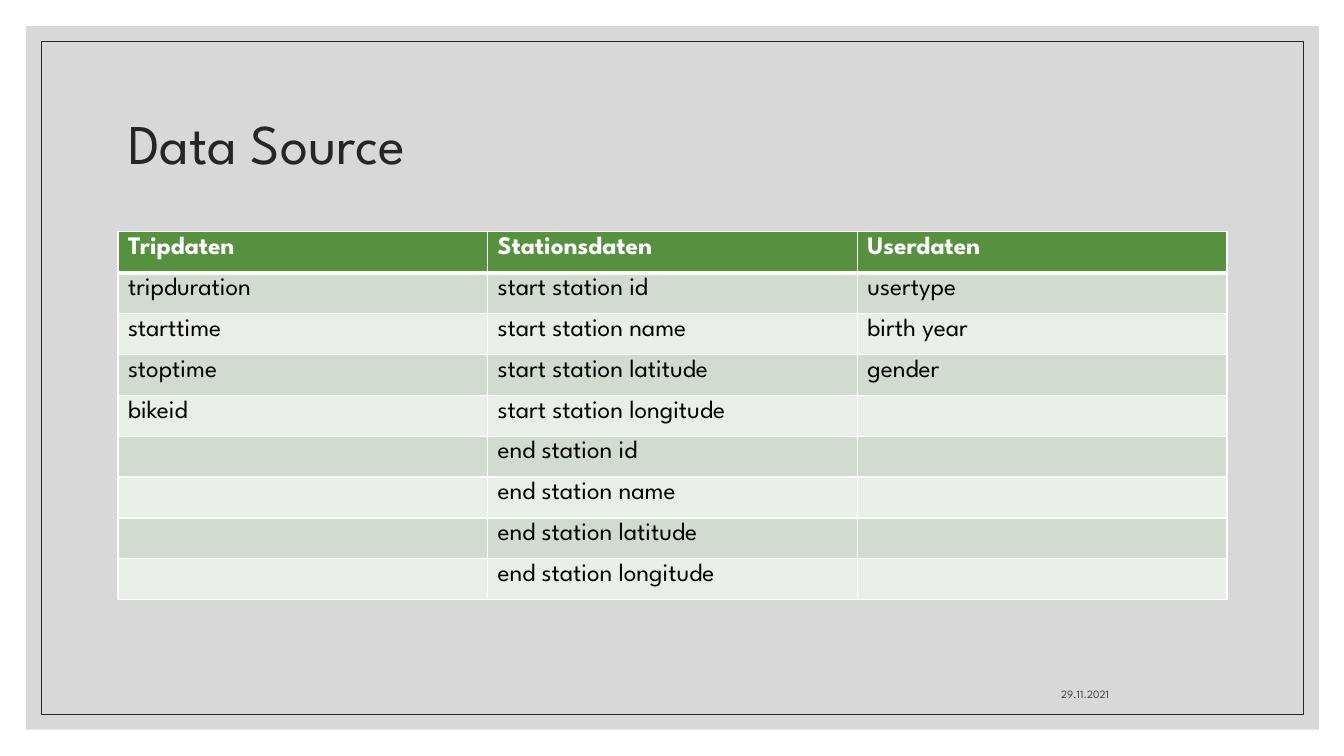
from itertools import zip_longest

from lxml import etree
from pptx import Presentation
from pptx.dml.color import RGBColor
from pptx.enum import shapes, text
from pptx.oxml.ns import qn
from pptx.util import Inches, Pt

TITLE = "Data Source"
DATE = "29.11.2021"
FIELDS = {
    "Tripdaten": ["tripduration", "starttime", "stoptime", "bikeid"],
    "Stationsdaten": [
        f"{end} station {field}"
        for end in ("start", "end")
        for field in ("id", "name", "latitude", "longitude")
    ],
    "Userdaten": ["usertype", "birth year", "gender"],
}
FONT = "League Spartan"
COLORS = {
    "panel": "BFBFBF", "ink": "262626", "date": "404040", "header": "57903F",
    "odd": "D1DBCF", "even": "EAEEE8", "white": "FFFFFF", "black": "000000",
}
TABLE_WIDTH, TABLE_HEIGHT = 11, 3.65


def rgb(name):
    return RGBColor.from_string(COLORS[name])


def write(paragraph, words, size, color, bold=False):
    run = paragraph.add_run()
    run.text = words
    for key, value in {"name": FONT, "size": Pt(size), "bold": bold}.items():
        setattr(run.font, key, value)
    run.font.color.rgb = rgb(color)


def add_frame(slide, left, top, width, height):
    frame = slide.shapes.add_shape(
        shapes.MSO_SHAPE.RECTANGLE, *map(Inches, (left, top, width, height)))
    frame.shadow.inherit = False
    return frame


def set_borders(cell, bottom_width):
    """Draw white cell borders; they must precede the fill in the XML."""
    properties = cell._tc.get_or_add_tcPr()
    widths = {"lnL": 1, "lnR": 1, "lnT": 1, "lnB": bottom_width}
    for side, width in widths.items():
        line = etree.SubElement(properties, qn(f"a:{side}"), w=str(Pt(width)))
        fill = etree.SubElement(line, qn("a:solidFill"))
        etree.SubElement(fill, qn("a:srgbClr"), val=COLORS["white"])


def add_fields_table(slide):
    rows = [tuple(FIELDS), *zip_longest(*FIELDS.values(), fillvalue="")]
    table = slide.shapes.add_table(
        len(rows), len(FIELDS), Inches(1.17), Inches(2.3),
        Inches(TABLE_WIDTH), Inches(TABLE_HEIGHT)).table
    for column in table.columns:
        column.width = Inches(TABLE_WIDTH / len(FIELDS))
    for r, row in enumerate(rows):
        table.rows[r].height = Inches(TABLE_HEIGHT / len(rows))
        header = r == 0
        band = "header" if header else "odd" if r % 2 else "even"
        for c, words in enumerate(row):
            cell = table.cell(r, c)
            set_borders(cell, 3 if header else 1)
            cell.fill.solid()
            cell.fill.fore_color.rgb = rgb(band)
            if words:
                write(cell.text_frame.paragraphs[0], words, 18,
                      "white" if header else "black", header)


def main():
    deck = Presentation()
    deck.slide_width, deck.slide_height = Inches(13.33), Inches(7.5)
    slide = deck.slides.add_slide(deck.slide_layouts[5])

    panel = add_frame(slide, 0.26, 0.26, 12.82, 6.98)
    panel.fill.solid()
    panel.fill.fore_color.rgb = rgb("panel")
    panel.line.fill.background()
    panel_color = panel.fill._xPr.find(qn("a:solidFill"))[0]
    etree.SubElement(panel_color, qn("a:alpha"), val="60000")

    border = add_frame(slide, 0.41, 0.41, 12.52, 6.68)
    border.fill.background()
    border.line.color.rgb = rgb("ink")
    border.line.width = Pt(0.5)

    title = slide.shapes.title
    slide.shapes._spTree.append(title._element)  # bring in front of the panel
    place = {"left": 1.17, "top": 0.7, "width": 11, "height": 1.5}
    for key, value in place.items():
        setattr(title, key, Inches(value))
    title.text_frame.auto_size = text.MSO_AUTO_SIZE.NONE
    title.text_frame.vertical_anchor = text.MSO_ANCHOR.MIDDLE
    heading = title.text_frame.paragraphs[0]
    heading.alignment = text.PP_ALIGN.LEFT
    heading.line_spacing = 0.9
    write(heading, TITLE, 40, "ink")

    date = slide.shapes.add_textbox(
        *map(Inches, (7.94, 6.6, 3.16, 0.4))).text_frame
    date.word_wrap = True
    date.vertical_anchor = text.MSO_ANCHOR.BOTTOM
    date.paragraphs[0].alignment = text.PP_ALIGN.RIGHT
    write(date.paragraphs[0], DATE, 8, "date")

    add_fields_table(slide)
    deck.save("out.pptx")


if __name__ == "__main__":
    main()
